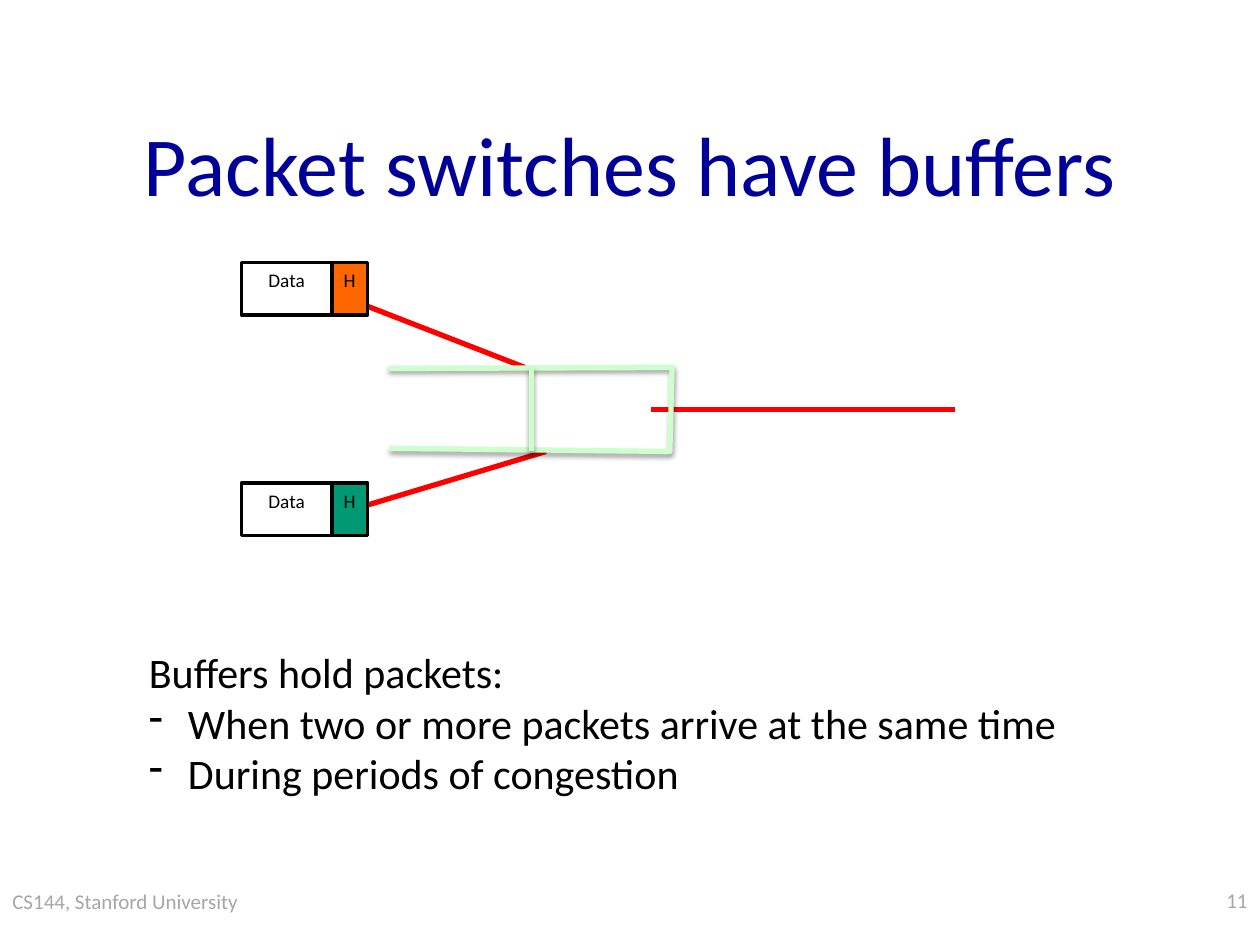
"""Build a slide showing how packet switches buffer arriving packets."""
from lxml.etree import SubElement
from pptx import Presentation
from pptx.dml.color import RGBColor
from pptx.enum.shapes import MSO_CONNECTOR as CONN, MSO_SHAPE as SHAPE
from pptx.enum.text import MSO_ANCHOR as ANCHOR, MSO_AUTO_SIZE as AUTO, PP_ALIGN as ALIGN
from pptx.oxml.ns import qn
from pptx.util import Inches, Pt

NAVY = RGBColor(0x00, 0x00, 0x99)
GRAY = RGBColor(0xA6, 0xA6, 0xA6)
RED = RGBColor(0xFF, 0x00, 0x00)
MINT = RGBColor(0xCC, 0xFF, 0xCC)
BLACK = RGBColor(0x00, 0x00, 0x00)
WHITE = RGBColor(0xFF, 0xFF, 0xFF)
GREEN = RGBColor(0x00, 0x99, 0x73)
ORANGE = RGBColor(0xFF, 0x66, 0x00)


def grid(*cells):
    """Convert grid cells, twelve to the inch, into lengths."""
    return [Inches(c / 12) for c in cells]


def write(tf, *lines, size=11, color=BLACK, align=ALIGN.LEFT, anchor=ANCHOR.TOP,
          wrap=True, bullets_from=None, font="Calibri"):
    """Fill a text frame with formatted paragraphs."""
    tf.word_wrap = wrap
    tf.vertical_anchor = anchor
    for i, line in enumerate(lines):
        p = tf.paragraphs[0] if i == 0 else tf.add_paragraph()
        p.alignment = align
        if bullets_from is not None and i >= bullets_from:
            pPr = p._p.get_or_add_pPr()
            pPr.set("marL", str(Inches(0.31)))
            pPr.set("indent", str(-Inches(0.31)))
            SubElement(pPr, qn("a:buChar"), char="-")
        r = p.add_run()
        r.text = line
        r.font.name, r.font.size, r.font.color.rgb = font, Pt(size), color


class Deck:
    """Hold the drawing style and the current slide."""

    line_width = Pt(3)
    box_width = Pt(2)

    def __init__(self, prs):
        """Add a title-only slide."""
        self.slide = prs.slides.add_slide(prs.slide_layouts[5])
        self.shapes = self.slide.shapes

    def title(self, text, *cells):
        """Place and format the title placeholder."""
        sp = self.shapes.title
        sp.left, sp.top, sp.width, sp.height = grid(*cells)
        write(sp.text_frame, text, size=48, color=NAVY, align=ALIGN.CENTER,
              anchor=ANCHOR.MIDDLE)

    def text(self, *lines, at, **style):
        """Add a text box."""
        tf = self.shapes.add_textbox(*grid(*at)).text_frame
        write(tf, *lines, **style)
        return tf

    def effects(self, sp, shadow):
        """Replace the theme effects with a soft shadow or with none."""
        effects = SubElement(sp._element.spPr, qn("a:effectLst"))
        if shadow:
            outer = SubElement(effects, qn("a:outerShdw"), blurRad=str(Pt(3.1)),
                               dist=str(Pt(1.6)), dir="5400000", rotWithShape="0")
            black = SubElement(outer, qn("a:srgbClr"), val=str(BLACK))
            SubElement(black, qn("a:alpha"), val="38000")

    def line(self, *cells, color=RED, shadow=False, parent=None):
        """Draw a straight line between two grid points."""
        shapes = parent or self.shapes
        sp = shapes.add_connector(CONN.STRAIGHT, *grid(*cells))
        sp.line.color.rgb, sp.line.width = color, self.line_width
        self.effects(sp, shadow)

    def buffer(self, outline, divider):
        """Draw an open buffer with one dividing line."""
        shapes = self.shapes.add_group_shape().shapes
        start, *rest = [grid(*point) for point in outline]
        fb = shapes.build_freeform(*start)
        fb.add_line_segments(rest, close=False)
        sp = fb.convert_to_shape()
        sp.fill.background()
        sp.line.color.rgb, sp.line.width = MINT, self.line_width
        self.effects(sp, shadow=True)
        self.line(*divider, color=MINT, shadow=True, parent=shapes)

    def packet(self, left, top, header_color):
        """Draw a packet as a data box followed by its header."""
        shapes = self.shapes.add_group_shape().shapes
        for label, width, fill in (("Data", 8.6, WHITE), ("H", 3.4, header_color)):
            sp = shapes.add_shape(SHAPE.RECTANGLE, *grid(left, top, width, 5))
            sp.shadow.inherit = False
            sp.fill.solid()
            sp.fill.fore_color.rgb = fill
            sp.line.color.rgb, sp.line.width = BLACK, self.box_width
            tf = sp.text_frame
            tf.margin_left = tf.margin_right = 0
            write(tf, label, align=ALIGN.CENTER)
            left += width


def main():
    """Compose and save the slide."""
    prs = Presentation()
    prs.slide_width, prs.slide_height = Inches(10), Inches(7.5)
    deck = Deck(prs)
    deck.title("Packet switches have buffers", 9, 8, 102, 15)
    deck.text("CS144, Stanford University", at=(0, 84, 25, 6), size=12, color=GRAY)
    deck.text("11", at=(95, 83.9, 25, 6), size=12, color=GRAY, align=ALIGN.RIGHT)
    for ends in ((32, 28, 50, 35), (32, 49, 52, 43), (62, 39, 91, 39)):
        deck.line(*ends)
    deck.buffer([(37, 35.1), (64, 35), (63.8, 43), (37.1, 42.7)], (50.6, 35, 50.6, 43))
    for top, color in ((46, GREEN), (25, ORANGE)):
        deck.packet(23, top, color)
    body = deck.text("Buffers hold packets:",
                     "When two or more packets arrive at the same time",
                     "During periods of congestion",
                     at=(13, 61, 90.6, 15.7), size=24, wrap=False, bullets_from=1)
    body.auto_size = AUTO.SHAPE_TO_FIT_TEXT
    prs.save("out.pptx")


if __name__ == "__main__":
    main()
